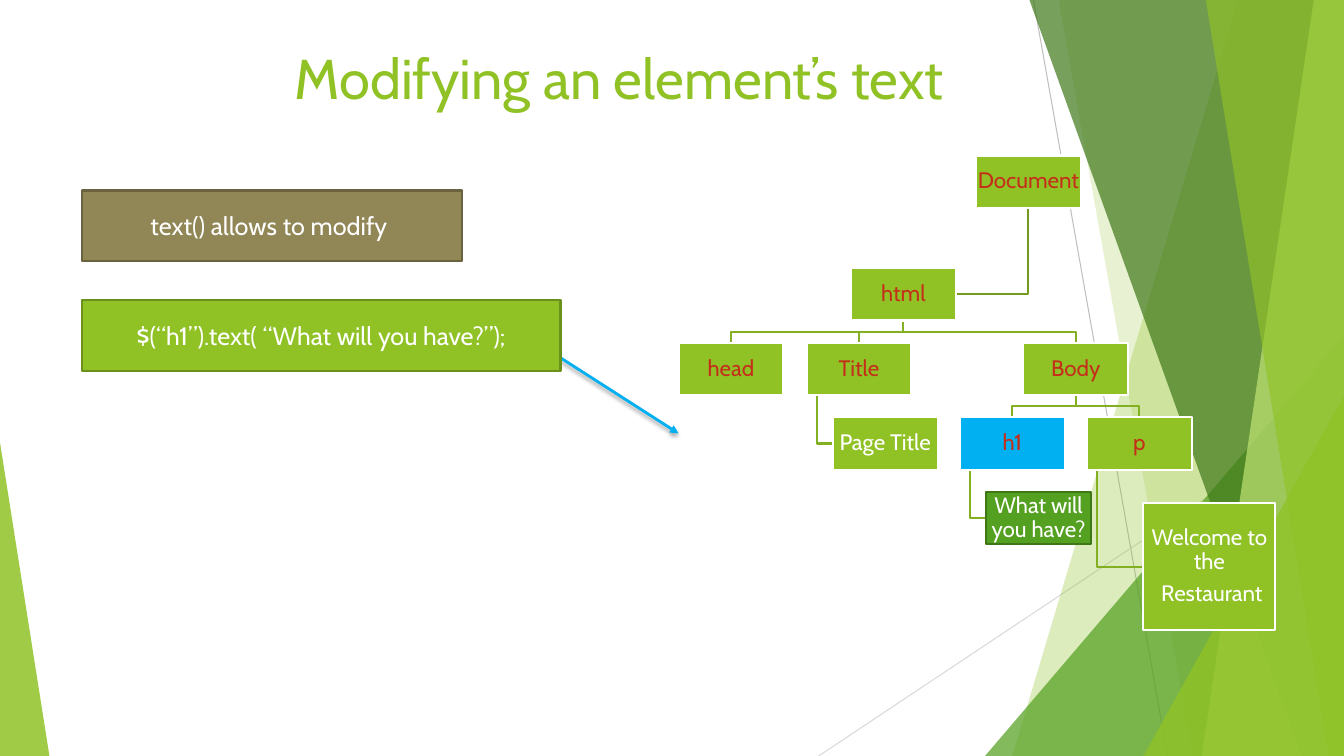
from lxml import etree
from pptx import Presentation
from pptx.dml.color import RGBColor
from pptx.enum.shapes import MSO_CONNECTOR, MSO_SHAPE
from pptx.enum.text import MSO_ANCHOR, PP_ALIGN
from pptx.oxml.ns import qn
from pptx.util import Emu, Inches, Pt

RECTANGLE = MSO_SHAPE.RECTANGLE
TRIANGLE = MSO_SHAPE.ISOSCELES_TRIANGLE
STRAIGHT = MSO_CONNECTOR.STRAIGHT
CENTER = PP_ALIGN.CENTER
MIDDLE, BOTTOM = MSO_ANCHOR.MIDDLE, MSO_ANCHOR.BOTTOM

WIDTH, HEIGHT = 13.33, 7.5
FONT = "Cabin"
GREEN, DARK_GREEN, BLUE, RED, WHITE = "90C226", "54A021", "00B0F0", "C42F1A", "FFFFFF"
BRANCH, LINK = "83B022", "739B1E"

TITLE = "Modifying an element’s text"
NOTES = [
    ("text() allows to modify ", 1.89, 3.77, "918655", "6B633F"),
    ("$(“h1”).text( “What will you have?”);", 2.98, 4.75, GREEN, "6B901C"),
]
NOTE_LEFT, NOTE_HEIGHT = 0.81, 0.7

HAIRLINES = [
    ((10.25, 0), (11.58, HEIGHT), "BFBFBF"),
    ((WIDTH, 4.03), (8.12, HEIGHT), "D9D9D9"),
]
FACETS = [
    ("band", 12.28, 10.04, GREEN, 30),
    ("band", 10.5, 11.83, GREEN, 20),
    ("right", 9.77, 3.33, DARK_GREEN, 72),
    ("band", 10.21, 12.91, "3F7819", 70),
    ("band", 13.03, 11.92, "C0E474", 70),
    ("band", 11.96, 13.18, GREEN, 65),
    ("right", 11.34, 3.93, GREEN, 80),
    ("left", 0.49, 4.39, GREEN, 85),
]

NODE_WIDTH, NODE_HEIGHT, ROW_TOP, ROW_PITCH = 1.04, 0.52, 2.66, 0.74
NODES = {
    "document": (["Document"], 9.68, -1.51, GREEN, WHITE, RED),
    "html": (["html"], 8.44, 0, GREEN, WHITE, RED),
    "head": (["head"], 6.73, 1, GREEN, WHITE, RED),
    "title": (["Title"], 8, 1, GREEN, WHITE, RED),
    "page title": (["Page Title"], 8.26, 2, GREEN, WHITE, WHITE),
    "body": (["Body"], 10.15, 1, GREEN, WHITE, RED),
    "h1": (["h1"], 9.52, 2, GREEN, WHITE, RED),
    "heading text": (["What will you have?"], 9.78, 3, DARK_GREEN, "3E7618", WHITE),
    "p": (["p"], 10.78, 2, GREEN, WHITE, RED),
    "paragraph text": (["Welcome to the", " Restaurant"], 11.34, 3.15, GREEN, WHITE, WHITE),
}
FILL_CHANGES = {"h1": BLUE}
SIZE_CHANGES = {"paragraph text": (1.31, 1.26)}
HANGING = [("p", "paragraph text"), ("h1", "heading text"), ("title", "page title")]
FORKS = [("body", "p"), ("body", "h1"), ("html", "body"), ("html", "title"), ("html", "head")]
HANG_INSET = 0.1


def color(value):
    return RGBColor.from_string(value)


def paint(shape, fill=None, line=None, opacity=100):
    shape.shadow.inherit = False
    if fill:
        shape.fill.solid()
        shape.fill.fore_color.rgb = color(fill)
        if opacity < 100:
            tint = shape.fill._xPr.find(".//" + qn("a:srgbClr"))
            etree.SubElement(tint, qn("a:alpha"), val=str(opacity * 1000))
    else:
        shape.fill.background()
    if line:
        shape.line.color.rgb = color(line)
        shape.line.width = Pt(1.5)
    else:
        shape.line.fill.background()


def add_path(page, points, closed):
    scaled = [(Inches(x), Inches(y)) for x, y in points]
    builder = page.shapes.build_freeform(*scaled[0])
    builder.add_line_segments(scaled[1:], close=closed)
    return builder.convert_to_shape()


def add_preset(page, kind, *frame):
    return page.shapes.add_shape(kind, *map(Inches, frame))


def add_line(page, start, end, line, width):
    connector = page.shapes.add_connector(STRAIGHT, *map(Inches, start + end))
    connector.line.color.rgb = color(line)
    connector.line.width = Pt(width)
    return connector, etree.SubElement(connector._element.spPr, qn("a:effectLst"))


def write(box, lines, size, ink, anchor=MIDDLE, inset=None, spacing=None):
    frame = box.text_frame
    frame.word_wrap = True
    frame.vertical_anchor = anchor
    if inset is not None:
        frame.margin_left = frame.margin_right = Inches(inset)
        frame.margin_top = frame.margin_bottom = Inches(inset)
    for index, line in enumerate(lines):
        para = frame.add_paragraph() if index else frame.paragraphs[0]
        para.alignment = CENTER
        if spacing:
            para.line_spacing = spacing
            para.space_after = Pt(0.35 * size)
        span = para.add_run()
        span.text = line
        span.font.name = FONT
        span.font.size = Pt(size)
        span.font.color.rgb = color(ink)


def draw_backdrop(page):
    for start, end, line in HAIRLINES:
        add_line(page, start, end, line, 0.75)
    for kind, first, second, fill, opacity in FACETS:
        if kind == "band":
            corners = [(first, 0), (WIDTH, 0), (WIDTH, HEIGHT), (second, HEIGHT)]
            facet = add_path(page, corners, True)
        else:
            left, right = (first, WIDTH) if kind == "right" else (0, first)
            facet = add_preset(page, TRIANGLE, left, second, right - left, HEIGHT - second)
            facet.adjustments[0] = 1 if kind == "right" else 0
        paint(facet, fill, opacity=opacity)


def node_frame(name):
    left, row = NODES[name][1:3]
    width, height = SIZE_CHANGES.get(name, (NODE_WIDTH, NODE_HEIGHT))
    return left, ROW_TOP + row * ROW_PITCH, width, height


def draw_tree(page):
    routes = []
    for parent, child in HANGING:
        left, top, width, height = node_frame(parent)
        child_left, child_top, child_width, child_height = node_frame(child)
        x, y = left + HANG_INSET, child_top + child_height / 2
        routes.append(([(x, top + height), (x, y), (child_left, y)], BRANCH))
    for parent, child in FORKS:
        left, top, width, height = node_frame(parent)
        child_left, child_top, child_width, child_height = node_frame(child)
        x, child_x = left + width / 2, child_left + child_width / 2
        bottom = top + height
        y = (bottom + child_top) / 2
        routes.append(([(x, bottom), (x, y), (child_x, y), (child_x, child_top)], BRANCH))
    left, top, width, height = node_frame("document")
    child_left, child_top, child_width, child_height = node_frame("html")
    x, y = left + width / 2, child_top + child_height / 2
    routes.append(([(x, top + height), (x, y), (child_left + child_width, y)], LINK))
    for points, line in routes:
        paint(add_path(page, points, False), line=line)
    for name, (lines, left, row, fill, line, ink) in NODES.items():
        box = add_preset(page, RECTANGLE, *node_frame(name))
        paint(box, FILL_CHANGES.get(name, fill), line)
        write(box, lines, 16, ink, inset=0.01, spacing=0.9)


def draw_arrow(page):
    arrow, effects = add_line(page, (5.56, 3.55), (6.73, 4.3), BLUE, 2)
    etree.SubElement(arrow.line._get_or_add_ln(), qn("a:tailEnd"), type="triangle")
    shadow = etree.SubElement(
        effects, qn("a:outerShdw"), blurRad=str(Pt(3)), dist=str(Pt(2)),
        dir="5400000", rotWithShape="0")
    shade = etree.SubElement(shadow, qn("a:srgbClr"), val="000000")
    etree.SubElement(shade, qn("a:alpha"), val="35000")


def draw_note(page, text, top, width, fill, line):
    box = add_preset(page, RECTANGLE, NOTE_LEFT, top, width, NOTE_HEIGHT)
    paint(box, fill, line)
    write(box, [text], 18, WHITE)


def main():
    deck = Presentation()
    deck.slide_width, deck.slide_height = Emu(Inches(WIDTH)), Emu(Inches(HEIGHT))
    page = deck.slides.add_slide(deck.slide_layouts[6])
    draw_backdrop(page)
    title = page.shapes.add_textbox(*map(Inches, (0.74, 0.21, 10.8, 0.94)))
    write(title, [TITLE], 40, GREEN, BOTTOM)
    draw_tree(page)
    draw_note(page, *NOTES[0])
    draw_arrow(page)
    draw_note(page, *NOTES[1])
    deck.save("out.pptx")


if __name__ == "__main__":
    main()
